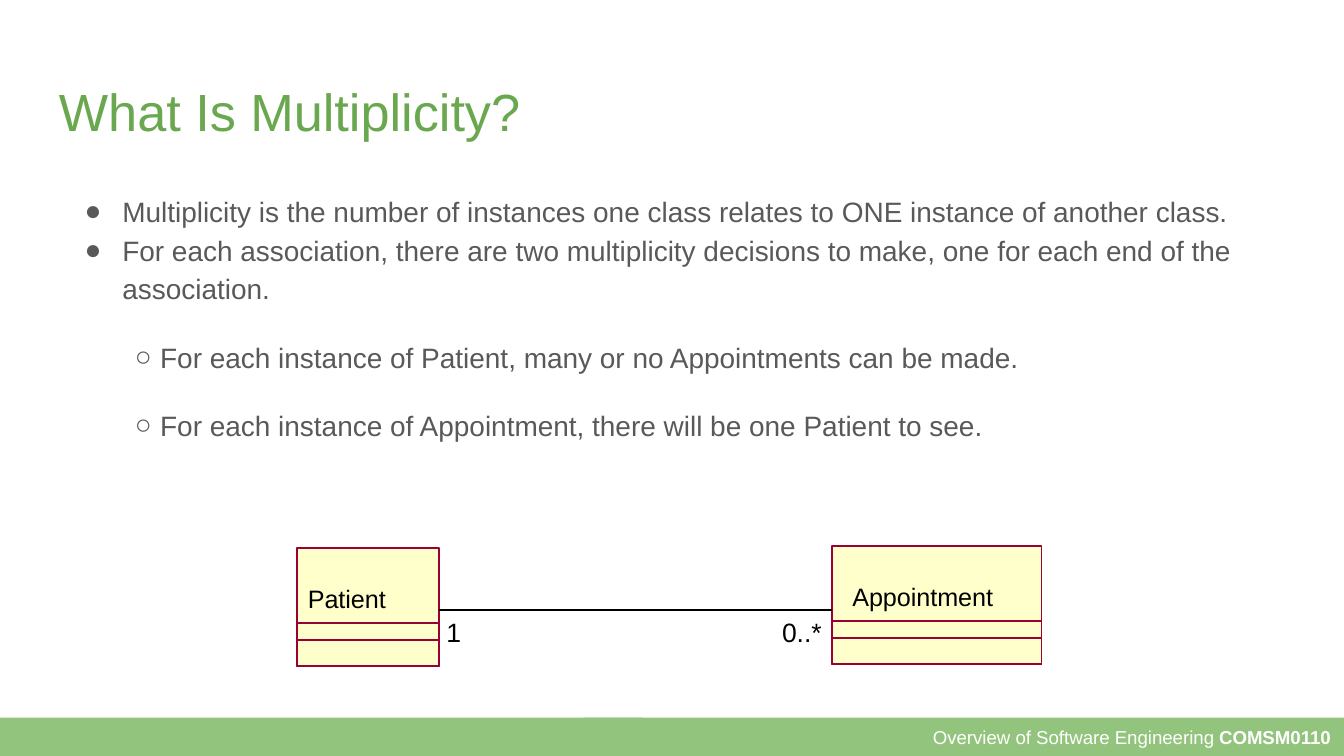
from pptx import Presentation
from pptx.util import Pt
from pptx.dml.color import RGBColor
from pptx.enum.shapes import MSO_SHAPE as Kind, MSO_CONNECTOR as Link
from pptx.enum.text import PP_ALIGN as Align, MSO_ANCHOR as Anchor
from pptx.oxml.ns import qn
from lxml.etree import SubElement as sub

# Content
TITLE = "What Is Multiplicity?"
BODY = [  # level, text
    (0, "Multiplicity is the number of instances one class relates to ONE "
        "instance of another class."),
    (0, "For each association, there are two multiplicity decisions to make, "
        "one for each end of the association."),
    (1, "For each instance of Patient, many or no Appointments can be made."),
    (1, "For each instance of Appointment, there will be one Patient to see."),
]
LEVELS = [  # bullet, left margin, hanging indent, space before
    ("●", 20.25, 20.25, 0),
    ("○", 40.5, 13.5, 16),
]
FOOTER = [("Overview of Software Engineering ", False), ("COMSM0110", True)]
CLASSES = [  # name, left, top, width, text offset
    ("Patient", 159.1, 293.6, 76.2, 5.8),
    ("Appointment", 445.7, 292.5, 112.3, 10.9),
]
ENDS = [("1", 239.1), ("0..*", 419)]
GREEN, BAR, GREY = "6AA84F", "93C47D", "595959"
CREAM, WINE, BLACK, WHITE = "FFFFCC", "990033", "000000", "FFFFFF"
WIDE, HIGH = 720, 405

deck = Presentation()
deck.slide_width, deck.slide_height = Pt(WIDE), Pt(HIGH)
slide = deck.slides.add_slide(deck.slide_layouts[6])
shapes = slide.shapes


def color(code):
    return RGBColor.from_string(code)


def write(par, text, size, ink=BLACK, bold=False):
    run = par.add_run()
    run.text = text
    font = run.font
    font.name, font.size, font.bold = "Arial", Pt(size), bold
    font.color.rgb = color(ink)


def frame(shape, pad=0, wrap=True):
    tf = shape.text_frame
    tf.word_wrap = wrap
    tf.margin_left = tf.margin_right = Pt(pad)
    tf.margin_top = tf.margin_bottom = Pt(pad)
    return tf


def text_box(x, y, w, h, pad=0, wrap=True):
    return frame(shapes.add_textbox(Pt(x), Pt(y), Pt(w), Pt(h)), pad, wrap)


def rect(x, y, w, h, fill=None, line=None):
    box = shapes.add_shape(Kind.RECTANGLE, Pt(x), Pt(y), Pt(w), Pt(h))
    box.shadow.inherit = False
    if fill:
        box.fill.solid()
        box.fill.fore_color.rgb = color(fill)
    else:
        box.fill.background()
    if line:
        box.line.color.rgb = color(line)
        box.line.width = Pt(1)
    else:
        box.line.fill.background()
    return box


def bullet(par, mark, left, hang):
    props = par._p.get_or_add_pPr()
    props.set("marL", str(Pt(left)))
    props.set("indent", str(-Pt(hang)))
    tint = sub(props, qn("a:buClr"))
    sub(tint, qn("a:srgbClr"), val=GREY)
    sub(props, qn("a:buFont"), typeface="Arial")
    sub(props, qn("a:buChar"), char=mark)


# Footer bar
top = 384.5
foot = frame(rect(312.5, top, WIDE - 312.5, HIGH - top, BAR), 7.2)
foot.vertical_anchor = Anchor.MIDDLE
par = foot.paragraphs[0]
par.alignment = Align.RIGHT
for text, bold in FOOTER:
    write(par, text, 10, WHITE, bold)
rect(0, top, 344, HIGH - top, BAR)

# Title
write(text_box(24.5, 35.3, 671, 45.4, 7.2).paragraphs[0], TITLE, 28, GREEN)

# Bulleted text
body = text_box(38.2, 94.3, 631.4, 213.8, 7.2)
for i, (level, text) in enumerate(BODY):
    par = body.add_paragraph() if i else body.paragraphs[0]
    mark, left, hang, gap = LEVELS[level]
    par.level, par.line_spacing, par.space_before = level, 1.15, Pt(gap)
    bullet(par, mark, left, hang)
    write(par, text, 15, GREY)

# Class boxes: outline, then the two lower compartments
TALL = 63.2
for name, x, y, w, shift in CLASSES:
    rect(x, y, w, TALL, CREAM, WINE)
    for drop in (40.4, 49.2):
        rect(x, y + drop, w, TALL - drop, line=WINE)
    label = text_box(x + shift, y + 18.9, w - 2 * shift, 16.6, wrap=False)
    write(label.paragraphs[0], name, 13.5)

# Association and its multiplicities
start = CLASSES[0][1] + CLASSES[0][3]
line = shapes.add_connector(Link.STRAIGHT, Pt(start), Pt(327),
                            Pt(CLASSES[1][1]), Pt(327))
line.line.color.rgb = color(BLACK)
line.line.width = Pt(1)
sub(line._element.spPr, qn("a:effectLst"))
for text, x in ENDS:
    label = text_box(x, 329.8, 7.9 if len(text) == 1 else 21.6, 17.3, wrap=False)
    write(label.paragraphs[0], text, 14.2)

deck.save("out.pptx")
